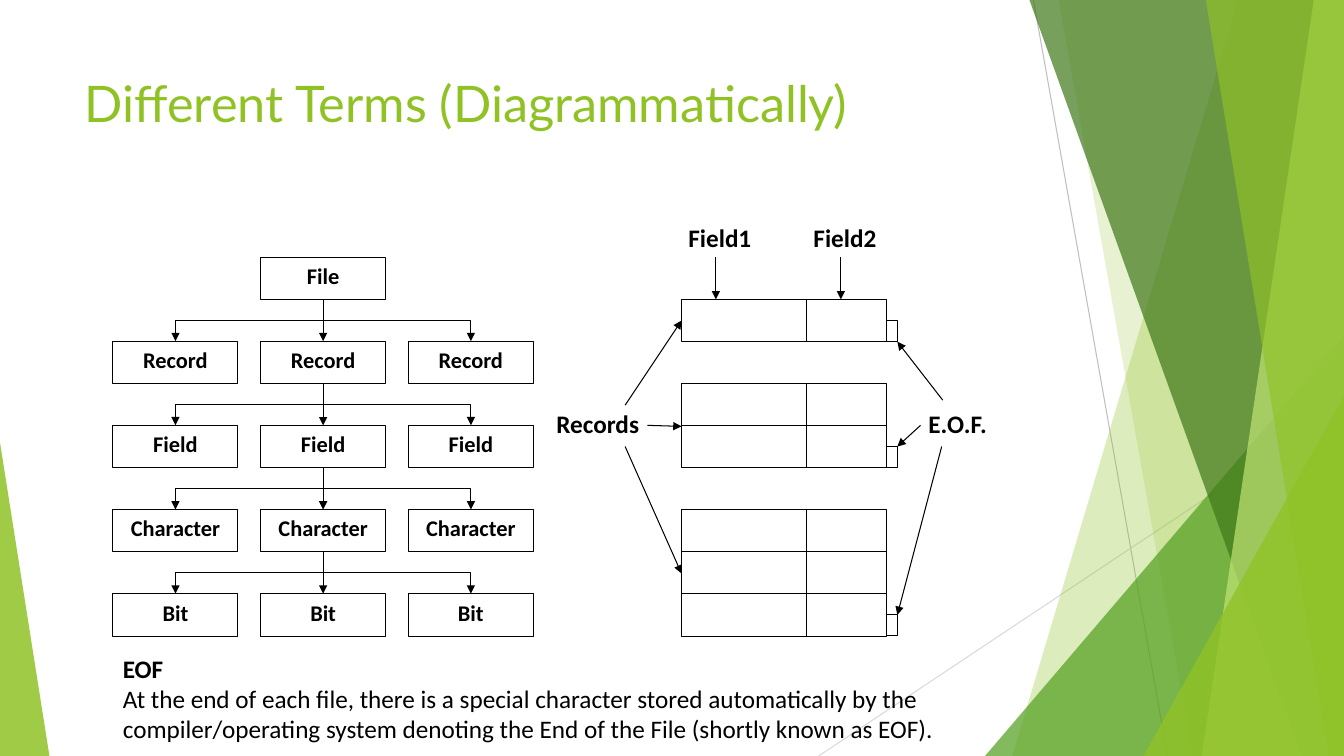
from lxml.etree import SubElement
from pptx import Presentation
from pptx.dml.color import RGBColor
from pptx.enum.shapes import MSO_CONNECTOR as Connector, MSO_SHAPE as Shape
from pptx.enum.text import MSO_ANCHOR as Anchor, MSO_AUTO_SIZE as AutoSize, PP_ALIGN as Align
from pptx.oxml.ns import qn
from pptx.util import Inches, Pt

BLACK = RGBColor(0x00, 0x00, 0x00)
WHITE = RGBColor(0xFF, 0xFF, 0xFF)
LIME = RGBColor(0x90, 0xC2, 0x26)
PALE_LIME = RGBColor(0xC0, 0xE4, 0x74)
GREEN = RGBColor(0x54, 0xA0, 0x21)
DARK_GREEN = RGBColor(0x3F, 0x78, 0x19)
GREY = RGBColor(0xBF, 0xBF, 0xBF)
LIGHT_GREY = RGBColor(0xD9, 0xD9, 0xD9)
WIDTH, HEIGHT = 13.33, 7.5

presentation = Presentation()
presentation.slide_width, presentation.slide_height = Inches(WIDTH), Inches(HEIGHT)
slide = presentation.slides.add_slide(presentation.slide_layouts[5])
shapes = slide.shapes


def add_line(start, end, color=BLACK, arrow=True, kind=Connector.STRAIGHT):
    line = shapes.add_connector(kind, *(Inches(value) for value in (*start, *end)))
    line.line.color.rgb = color
    line.line.width = Pt(0.75)
    properties = line._element.spPr
    if arrow:
        SubElement(properties.find(qn("a:ln")), qn("a:tailEnd"), type="triangle")
    SubElement(properties, qn("a:effectLst"))
    return line


def add_box(left, top, width, height, text="", size=16, align=Align.CENTER, outlined=True):
    box = shapes.add_shape(Shape.RECTANGLE, *(Inches(value) for value in (left, top, width, height)))
    box.shadow.inherit = False
    box.fill.solid()
    box.fill.fore_color.rgb = WHITE
    if outlined:
        box.line.color.rgb = BLACK
        box.line.width = Pt(0.75)
    else:
        box.line.fill.background()
    if text:
        box.text_frame.vertical_anchor = Anchor.TOP
        paragraph = box.text_frame.paragraphs[0]
        paragraph.alignment = align
        run = paragraph.add_run()
        run.text = text
        run.font.name, run.font.size, run.font.bold = "Calibri", Pt(size), True
        run.font.color.rgb = BLACK


# Green facets: a band is (top x, bottom x) and runs to the right edge;
# a triangle is (left, top, width, apex) and stands on the bottom edge.
add_line((10.25, 0), (11.58, HEIGHT), GREY, arrow=False)
add_line((WIDTH, 4.03), (8.12, HEIGHT), LIGHT_GREY, arrow=False)
facets = [
    ((12.28, 10.04), LIME, 30),
    ((10.5, 11.83), LIME, 20),
    ((9.77, 3.33, 3.56, 1), GREEN, 72),
    ((10.21, 12.91), DARK_GREEN, 70),
    ((13.03, 11.92), PALE_LIME, 70),
    ((11.96, 13.18), LIME, 65),
    ((11.34, 3.93, 1.99, 1), LIME, 80),
    ((0, 4.39, 0.49, 0), LIME, 85),
]
for outline, color, opacity in facets:
    if len(outline) == 2:
        top_x, bottom_x = outline
        builder = shapes.build_freeform(Inches(top_x), 0)
        corners = [(WIDTH, 0), (WIDTH, HEIGHT), (bottom_x, HEIGHT)]
        builder.add_line_segments([(Inches(x), Inches(y)) for x, y in corners])
        facet = builder.convert_to_shape()
    else:
        left, top, width, apex = outline
        facet = shapes.add_shape(Shape.ISOSCELES_TRIANGLE, Inches(left), Inches(top),
                                 Inches(width), Inches(HEIGHT - top))
        facet.adjustments[0] = apex
    facet.shadow.inherit = False
    facet.line.fill.background()
    facet.fill.solid()
    facet.fill.fore_color.rgb = color
    color_element = facet._element.spPr.find(qn("a:solidFill"))[0]
    SubElement(color_element, qn("a:alpha"), val=str(opacity * 1000))

title = shapes.title
title.left, title.top, title.width, title.height = (Inches(v) for v in (0.74, 0.67, 9.4, 1.44))
title.text_frame.auto_size = AutoSize.NONE
title.text_frame.vertical_anchor = Anchor.TOP
paragraph = title.text_frame.paragraphs[0]
paragraph.alignment = Align.LEFT
run = paragraph.add_run()
run.text = "Different Terms (Diagrammatically)"
run.font.name, run.font.size = "Lato", Pt(36)
run.font.color.rgb = LIME

# Hierarchy of terms
TOP, ROW = 2.55, 0.4175
BOX_WIDTH, BOX_HEIGHT = 1.24, 0.42
COLUMNS = [1.12, 2.585, 4.05]
centers = [left + BOX_WIDTH / 2 for left in COLUMNS]
middle = centers[1]
for level, term in enumerate(["File", "Record", "Field", "Character", "Bit"]):
    top = TOP + 2 * level * ROW
    for left in COLUMNS if level else COLUMNS[1:2]:
        add_box(left, top, BOX_WIDTH, BOX_HEIGHT, term)
    if not level:
        continue
    start_y = top - ROW
    add_line((middle, start_y), (middle, top))
    # An elbow that leaves downwards is a sideways one turned by a quarter.
    for center, angle in ((centers[0], 90), (centers[2], 270)):
        middle_x, middle_y = (middle + center) / 2, (start_y + top) / 2
        half_run = abs(center - middle) / 2
        half_drop = ROW / 2 if angle == 90 else -ROW / 2
        elbow = add_line((middle_x - half_drop, middle_y - half_run),
                         (middle_x + half_drop, middle_y + half_run), kind=Connector.ELBOW)
        elbow._element.spPr.find(qn("a:xfrm")).set("rot", str(angle * 60000))

# Files made of records, each closed by an end-of-file mark
FIELD1_LEFT, FIELD2_LEFT, MARK_LEFT = 6.76, 8, 8.79
add_box(5.42, 4, 1.08, 0.46, "Records", 18, Align.JUSTIFY, outlined=False)
for first_row, record_count in ((1, 1), (3, 2), (6, 3)):
    for row in range(first_row, first_row + record_count):
        top = TOP + row * ROW
        add_box(FIELD1_LEFT, top, FIELD2_LEFT - FIELD1_LEFT, BOX_HEIGHT)
        add_box(FIELD2_LEFT, top, MARK_LEFT - FIELD2_LEFT, BOX_HEIGHT)
    add_box(MARK_LEFT, top + ROW / 2, 0.11, BOX_HEIGHT / 2)

add_box(6.73, 2.16, 1.24, 0.42, "Field1", 18, Align.JUSTIFY, outlined=False)
add_box(7.97, 2.16, 0.9, 0.42, "Field2", 18, Align.JUSTIFY, outlined=False)
add_box(9.11, 4, 1.01, 0.46, "E.O.F.", 18, Align.JUSTIFY, outlined=False)
label_arrows = [
    ((6.2, 4.02), (6.76, 3.18)),
    ((6.42, 4.22), (6.76, 4.23)),
    ((6.2, 4.43), (6.76, 5.69)),
    ((7.1, 2.55), (7.1, 2.97)),
    ((8.34, 2.55), (8.34, 2.97)),
    ((9.35, 3.97), (8.9, 3.39)),
    ((9.34, 4.43), (8.9, 6.1)),
    ((9.13, 4.22), (8.9, 4.43)),
]
for start, end in label_arrows:
    add_line(start, end)

note = shapes.add_textbox(Inches(1.12), Inches(6.43), Inches(9.79), Inches(1.01)).text_frame
note.word_wrap = True
note.auto_size = AutoSize.SHAPE_TO_FIT_TEXT
note_lines = [
    ("EOF", True, Align.JUSTIFY),
    ("At the end of each file, there is a special character stored automatically by the "
     "compiler/operating system denoting the End of the File (shortly known as EOF).",
     False, Align.LEFT),
]
for index, (text, bold, align) in enumerate(note_lines):
    paragraph = note.add_paragraph() if index else note.paragraphs[0]
    paragraph.alignment = align
    run = paragraph.add_run()
    run.text = text
    run.font.name, run.font.size, run.font.bold = "Calibri", Pt(18), bold
    run.font.color.rgb = BLACK

presentation.save("out.pptx")
